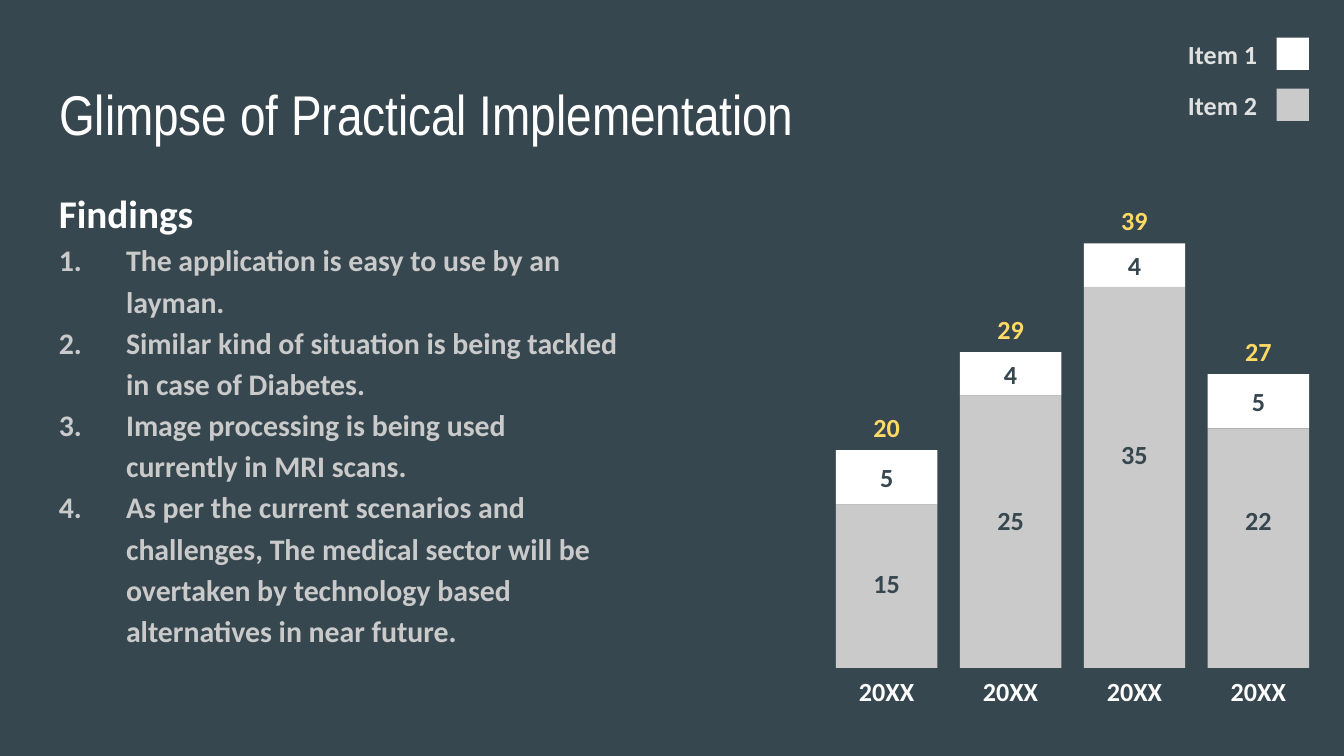
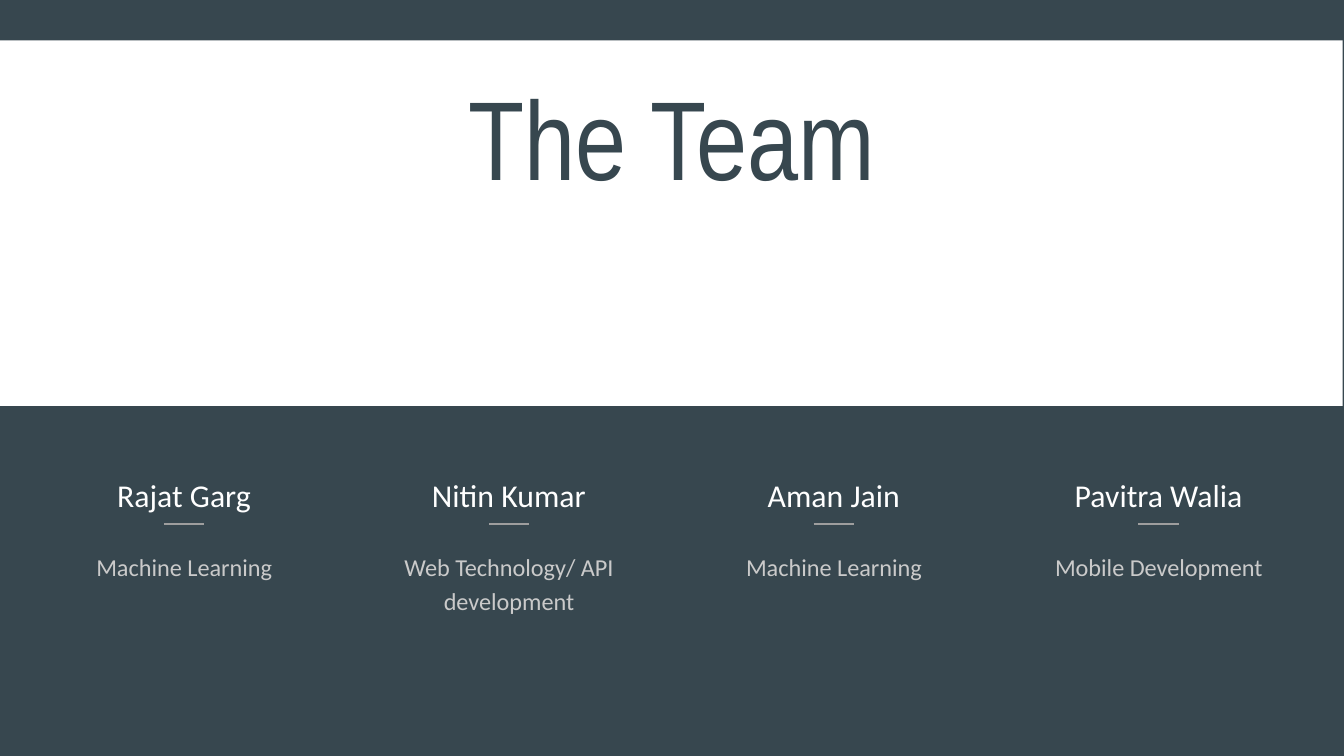
from dataclasses import dataclass

from lxml import etree
from pptx import Presentation
from pptx.dml.color import RGBColor
from pptx.enum.shapes import MSO_CONNECTOR, MSO_SHAPE
from pptx.enum.text import MSO_ANCHOR, MSO_AUTO_SIZE, PP_ALIGN
from pptx.oxml.ns import qn
from pptx.util import Inches, Pt

LEFT, CENTER = PP_ALIGN.LEFT, PP_ALIGN.CENTER
TOP, MIDDLE = MSO_ANCHOR.TOP, MSO_ANCHOR.MIDDLE
FIXED_SIZE = MSO_AUTO_SIZE.NONE
RECTANGLE, STRAIGHT = MSO_SHAPE.RECTANGLE, MSO_CONNECTOR.STRAIGHT
TITLE_ONLY = 5

# The slide is a grid of square cells; every length below counts cells
COLUMNS, ROWS = 100, 56.25


@dataclass(frozen=True)
class Theme:
    slate: str = "37474F"
    white: str = "FFFFFF"
    silver: str = "CACACA"
    pale: str = "E0E0E0"
    rule: str = "9E9E9E"
    accent: str = "FFD966"
    title_font: str = "Arial Narrow"
    body_font: str = "Calibri"
    title: int = 30
    display: int = 60
    heading: int = 21
    name: int = 17
    item: int = 16
    label: int = 14
    role: int = 13
    line_spacing: float = 1.15


THEME = Theme()


class Deck:
    def __init__(self, theme):
        self.theme = theme
        self.prs = Presentation()
        self.prs.slide_width, self.prs.slide_height = Inches(10), Inches(5.625)
        self.slide = None
        backdrop = self.prs.slide_master.background.fill
        backdrop.solid()
        backdrop.fore_color.rgb = RGBColor.from_string(theme.slate)

    def across(self, columns):
        return round(self.prs.slide_width * columns / COLUMNS)

    def down(self, rows):
        return round(self.prs.slide_height * rows / ROWS)

    def place(self, left, top, width, height):
        return (self.across(left), self.down(top),
                self.across(width), self.down(height))

    def style(self, paragraph, size, color, bold=False, align=LEFT, font=None):
        paragraph.alignment = align
        for run in paragraph.runs:
            run.font.name = font or self.theme.body_font
            run.font.size = Pt(size)
            run.font.bold = bold
            run.font.color.rgb = RGBColor.from_string(color)

    def prepare(self, frame, anchor=TOP):
        frame.word_wrap = True
        frame.auto_size = FIXED_SIZE
        frame.vertical_anchor = anchor
        frame.margin_left = frame.margin_right = self.across(1)
        frame.margin_top = frame.margin_bottom = self.down(1)

    def add_slide(self, title, box, size, color, align=LEFT):
        self.slide = self.prs.slides.add_slide(self.prs.slide_layouts[TITLE_ONLY])
        heading = self.slide.shapes.title
        heading.left, heading.top, heading.width, heading.height = self.place(*box)
        self.prepare(heading.text_frame)
        heading.text_frame.text = title
        self.style(heading.text_frame.paragraphs[0], size, color,
                   align=align, font=self.theme.title_font)

    def text(self, box, wording, size, color, bold=False, align=LEFT, anchor=TOP):
        frame = self.slide.shapes.add_textbox(*self.place(*box)).text_frame
        self.prepare(frame, anchor)
        frame.text = wording
        self.style(frame.paragraphs[0], size, color, bold, align)
        return frame

    def label(self, box, wording, color, align=CENTER):
        self.text(box, wording, self.theme.label, color, True, align, MIDDLE)

    def spaced_text(self, box, wording, size, color):
        paragraph = self.text(box, wording, size, color, align=CENTER).paragraphs[0]
        paragraph.line_spacing = self.theme.line_spacing
        paragraph.space_after = Pt(16)

    def numbered_list(self, box, heading, items):
        theme = self.theme
        frame = self.text(box, heading, theme.heading, theme.white, bold=True)
        frame.paragraphs[0].line_spacing = theme.line_spacing
        for item in items:
            paragraph = frame.add_paragraph()
            paragraph.text = item
            self.style(paragraph, theme.item, theme.silver, bold=True)
            paragraph.line_spacing = theme.line_spacing
            props = paragraph._p.get_or_add_pPr()
            props.set("marL", str(self.across(5)))
            props.set("indent", str(-self.across(5)))
            number_color = etree.SubElement(props, qn("a:buClr"))
            etree.SubElement(number_color, qn("a:srgbClr"), val=theme.silver)
            etree.SubElement(props, qn("a:buAutoNum"), type="arabicPeriod")

    def block(self, box, color):
        block = self.slide.shapes.add_shape(RECTANGLE, *self.place(*box))
        block.shadow.inherit = False
        block.fill.solid()
        block.fill.fore_color.rgb = RGBColor.from_string(color)
        block.line.fill.background()

    def rule(self, left, top, width):
        rule = self.slide.shapes.add_connector(
            STRAIGHT, self.across(left), self.down(top),
            self.across(left + width), self.down(top))
        rule.line.color.rgb = RGBColor.from_string(self.theme.rule)
        rule.line.width = Pt(0.75)
        etree.SubElement(rule._element.spPr, qn("a:effectLst"))

    def stacked_bar(self, left, period, lower, upper, lower_label_top):
        theme, width, label_height = self.theme, 7.55, 3.4
        baseline, rows_per_unit = 49.7, 0.81
        split = baseline - lower * rows_per_unit
        top = split - upper * rows_per_unit
        self.block((left, top, width, split - top), theme.white)
        self.block((left, split, width, baseline - split), theme.silver)
        upper_label_top = (top + split - label_height) / 2
        for label_top, wording, color in (
                (baseline, period, theme.white),
                (top - label_height, str(lower + upper), theme.accent),
                (upper_label_top, str(upper), theme.slate),
                (lower_label_top, str(lower), theme.slate)):
            self.label((left, label_top, width, label_height), wording, color)


def add_findings(deck):
    theme = deck.theme
    deck.add_slide("Glimpse of Practical Implementation",
                   (3.4, 4.9, 93.2, 6.3), theme.title, theme.white)
    deck.numbered_list((3.4, 12.6, 43.7, 37.4), "Findings", (
        "The application is easy to use by an layman.",
        "Similar kind of situation is being tackled in case of Diabetes.",
        "Image processing is being used currently in MRI scans.",
        "As per the current scenarios and challenges, The medical sector will be "
        "overtaken by technology based alternatives in near future.",
    ))

    # Legend
    for index, (series, color) in enumerate(
            (("Item 1", theme.white), ("Item 2", theme.silver))):
        top = 2.8 + index * 3.8
        deck.label((87.4, top, 7.5, 2.4), series, theme.pale, LEFT)
        deck.block((95, top, 2.4, 2.4), color)

    # Bars: period, Item 2, Item 1, top of the Item 2 label
    bars = (("20XX", 15, 5, 41.7), ("20XX", 25, 4, 37),
            ("20XX", 35, 4, 32.1), ("20XX", 22, 5, 37))
    for index, bar in enumerate(bars):
        deck.stacked_bar(62.2 + index * 9.22, *bar)


def add_team(deck):
    theme = deck.theme
    deck.add_slide("The Team", (3.4, 4.1, 93.2, 8), theme.display, theme.slate, CENTER)

    # White band, moved behind the title
    deck.block((-0.3, 3, 100.2, 27.2), theme.white)
    tree = deck.slide.shapes._spTree
    tree.insert(2, tree[-1])

    # Members
    members = (("Rajat Garg", "Machine Learning"),
               ("Nitin Kumar", "Web Technology/ API development"),
               ("Aman Jain", "Machine Learning"),
               ("Pavitra Walia", "Mobile Development"))
    width, rule_width = 23.8, 3
    for index, (name, role) in enumerate(members):
        left = 1.8 + index * 24.17
        deck.spaced_text((left, 34, width, 4.8), name, theme.name, theme.white)
        deck.rule(left + (width - rule_width) / 2, 39, rule_width)
        deck.spaced_text((left, 39.8, width, 12.6), role, theme.role, theme.silver)


def main():
    deck = Deck(THEME)
    add_findings(deck)
    add_team(deck)
    deck.prs.save("out.pptx")


if __name__ == "__main__":
    main()
